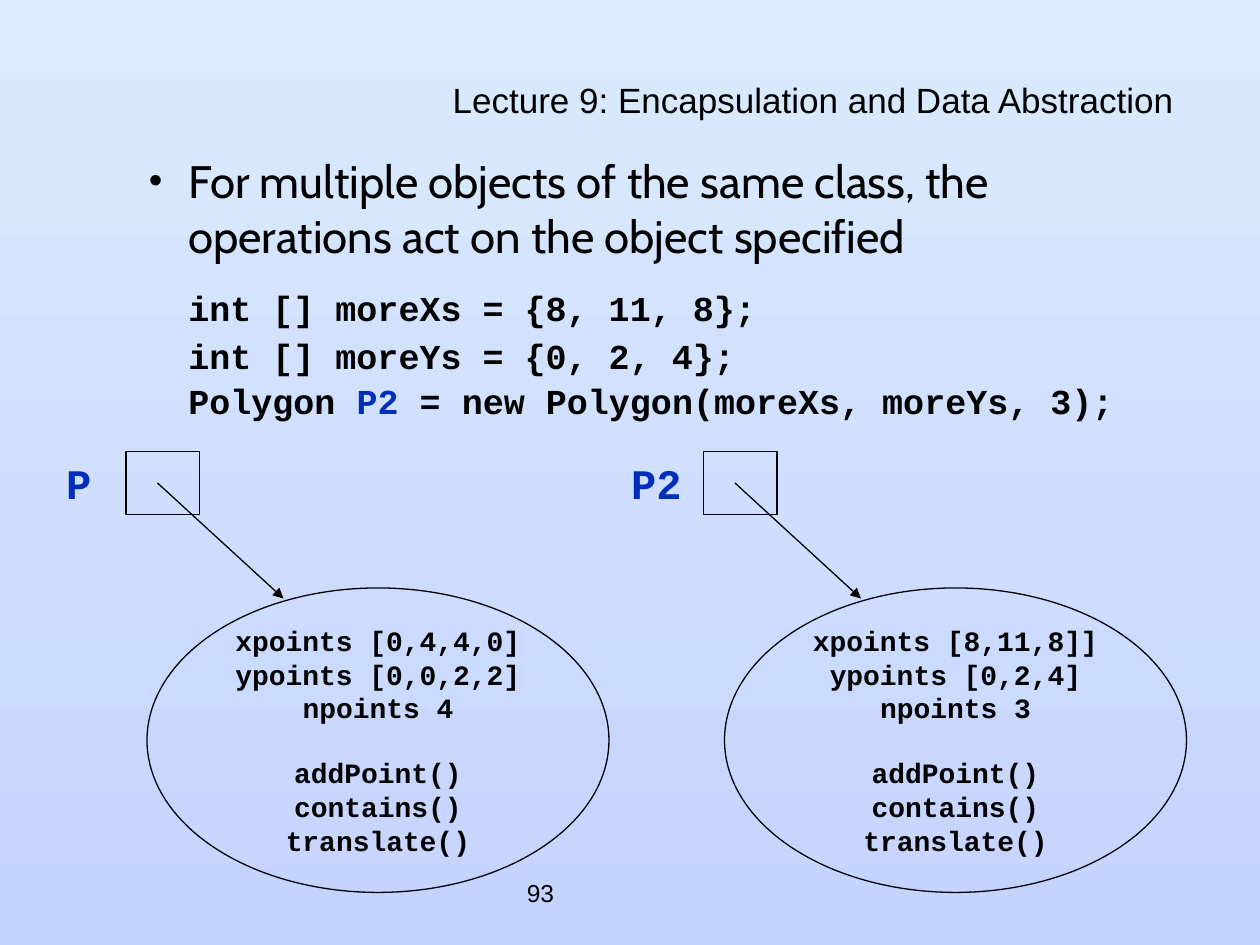
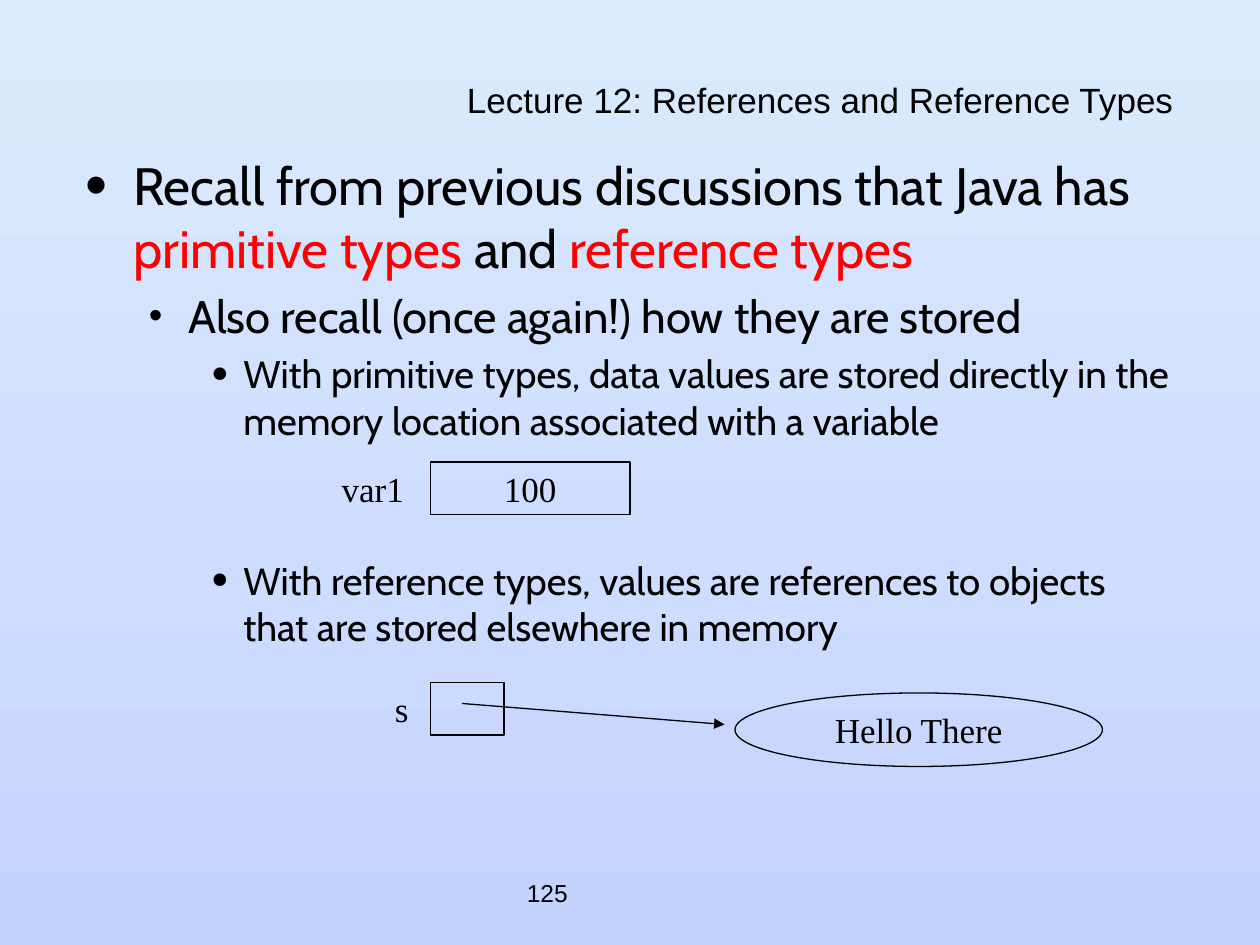
import pptx
import pptx.dml.color
import pptx.enum.shapes
import pptx.enum.text
import pptx.oxml.ns
import pptx.util
from lxml import etree

Pt = pptx.util.Pt
Shape = pptx.enum.shapes.MSO_SHAPE
Align = pptx.enum.text.PP_ALIGN
Anchor = pptx.enum.text.MSO_ANCHOR
qn = pptx.oxml.ns.qn

BLACK, BLUE, RED = "000000", "002DB9", "FF0000"
SKY, LILAC = "DAEBFE", "C5D3FF"
SANS, BODY, CODE, SERIF = "Arial", "Cabin", "Courier New", "Times New Roman"

# Per outline level: font size, left indent, hanging indent, bullet percent
LEVELS = [(30, 27, 27, 120), (26, 58.5, 22.5, 85), (22, 90, 18, 120)]


def shade(text):
    return pptx.dml.color.RGBColor.from_string(text)


def write(frame, runs, size=20, font=SANS, color=BLACK, bold=False,
          align=Align.LEFT, before=0, level=None, bullet=True, first=False):
    """Add one paragraph; runs is a string or a list of (text, colour)."""
    para = frame.paragraphs[0] if first else frame.add_paragraph()
    para.alignment = align
    if before:
        para.space_before = Pt(before)
    if level is not None:
        indent(para, level, bullet)
    if isinstance(runs, str):
        runs = [(runs, color)]
    for text, tint in runs:
        run = para.add_run()
        run.text = text
        run.font.size, run.font.name, run.font.bold = Pt(size), font, bold
        run.font.color.rgb = shade(tint)
    return para


def indent(para, level, bullet):
    _, left, hang, scale = LEVELS[level]
    para.level = level
    props = para._p.get_or_add_pPr()
    props.set("marL", str(Pt(left)))
    props.set("indent", str(Pt(-hang if bullet else 0)))
    if bullet:
        color = etree.SubElement(props, qn("a:buClr"))
        etree.SubElement(color, qn("a:srgbClr"), val=BLACK)
        etree.SubElement(props, qn("a:buSzPct"), val=str(scale * 1000))
        etree.SubElement(props, qn("a:buFont"), typeface=SANS)
        etree.SubElement(props, qn("a:buChar"), char="•")


def point(frame, runs, level, **style):
    size = LEVELS[level][0]
    style.setdefault("before", 0 if style.get("first") else size * 0.2)
    write(frame, runs, size=size, font=BODY, level=level, **style)


def box(slide, left, top, width, height, anchor=Anchor.MIDDLE):
    """Add a text box and return its text frame."""
    frame = slide.shapes.add_textbox(
        Pt(left), Pt(top), Pt(width), Pt(height)).text_frame
    frame.word_wrap = True
    frame.vertical_anchor = anchor
    return frame


def label(slide, text, left, top, width, height, **style):
    frame = box(slide, left, top, width, height)
    write(frame, text, first=True, align=Align.CENTER, **style)


def outline(slide, kind, left, top, width, height):
    """Add an unfilled shape and return its text frame."""
    shape = slide.shapes.add_shape(
        kind, Pt(left), Pt(top), Pt(width), Pt(height))
    shape.shadow.inherit = False
    shape.fill.background()
    shape.line.color.rgb = shade(BLACK)
    shape.line.width = Pt(0.75)
    shape.text_frame.word_wrap = True
    shape.text_frame.vertical_anchor = Anchor.MIDDLE
    return shape.text_frame


def arrow(slide, *ends):
    line = slide.shapes.add_connector(
        pptx.enum.shapes.MSO_CONNECTOR.STRAIGHT, *map(Pt, ends))
    line.line.color.rgb = shade(BLACK)
    line.line.width = Pt(0.75)
    etree.SubElement(line.line._get_or_add_ln(), qn("a:tailEnd"),
                     type="triangle")
    etree.SubElement(line._element.spPr, qn("a:effectLst"))


def page(deck, title, number):
    """Add a slide with title and number; return it with its body frame."""
    slide = deck.slides.add_slide(deck.slide_layouts[5])
    head = slide.shapes.title
    head.left, head.top, head.width, head.height = map(Pt, (42, 48, 636, 24))
    head.text_frame.vertical_anchor = Anchor.MIDDLE
    head.text_frame.auto_size = pptx.enum.text.MSO_AUTO_SIZE.NONE
    para = write(head.text_frame, title, align=Align.RIGHT, first=True)
    para.line_spacing = 0.7
    write(box(slide, 294, 492, 150, 36), number, size=14, first=True)
    return slide, box(slide, 42, 84, 636, 396, Anchor.TOP)


def object_view(slide, left, name, fields):
    """Draw a variable and the polygon object that it refers to."""
    label(slide, name, left, 258, 54, 36, size=24, font=CODE,
          color=BLUE, bold=True)
    outline(slide, Shape.RECTANGLE, left + 54, 258, 42, 36)
    frame = outline(slide, Shape.OVAL, left + 66, 336, 264, 174)
    calls = ["addPoint()", "contains()", "translate()"]
    for row, text in enumerate(fields + calls):
        write(frame, text, size=16, font=CODE, bold=True, align=Align.CENTER,
              before=18 if text == calls[0] else 0, first=row == 0)
    arrow(slide, left + 72, 276, left + 144, 342)


def objects(deck):
    slide, body = page(
        deck, "Lecture 9: Encapsulation and Data Abstraction", "93")
    point(body, "For multiple objects of the same class, the operations "
          "act on the object specified", 1, first=True)
    code = [
        (14, "int [] moreXs = {8, 11, 8};"),
        (3.5, "int [] moreYs = {0, 2, 4};"),
        (1.5, [("Polygon ", BLACK), ("P2", BLUE),
               (" = new Polygon(moreXs, moreYs, 3);", BLACK)]),
    ]
    for gap, line in code:
        write(body, line, font=CODE, bold=True, before=gap, level=1,
              bullet=False)
    object_view(slide, 18, "P",
                ["xpoints [0,4,4,0]", "ypoints [0,0,2,2]", "npoints 4"])
    object_view(slide, 348, "P2",
                ["xpoints [8,11,8]]", "ypoints [0,2,4]", "npoints 3"])


def storage(deck):
    slide, body = page(
        deck, "Lecture 12: References and Reference Types", "125")
    point(body, [("Recall from previous discussions that Java has ", BLACK),
                 ("primitive types", RED), (" and ", BLACK),
                 ("reference types", RED)], 0, first=True)
    point(body, "Also recall (once again!) how they are stored", 1)
    point(body, "With primitive types, data values are stored directly in "
          "the memory location associated with a variable", 2)
    point(body, "With reference types, values are references to objects "
          "that are stored elsewhere in memory", 2, before=65)

    style = {"font": SERIF, "align": Align.CENTER, "first": True}
    label(slide, "var1", 180, 264, 66, 30, font=SERIF)
    write(outline(slide, Shape.RECTANGLE, 246, 264, 114, 30), "100", **style)
    label(slide, "s", 198, 390, 63, 30, font=SERIF)
    outline(slide, Shape.RECTANGLE, 246, 390, 42, 30)
    write(outline(slide, Shape.OVAL, 420, 396, 210, 42), "Hello There",
          **style)
    arrow(slide, 264, 402, 414, 414)


def main():
    deck = pptx.Presentation()
    deck.slide_width, deck.slide_height = Pt(720), Pt(540)
    fill = deck.slide_master.background.fill
    fill.gradient()
    fill.gradient_angle = 270
    for stop, color in zip(fill.gradient_stops, (SKY, LILAC)):
        stop.color.rgb = shade(color)
    objects(deck)
    storage(deck)
    deck.save("out.pptx")


if __name__ == "__main__":
    main()
